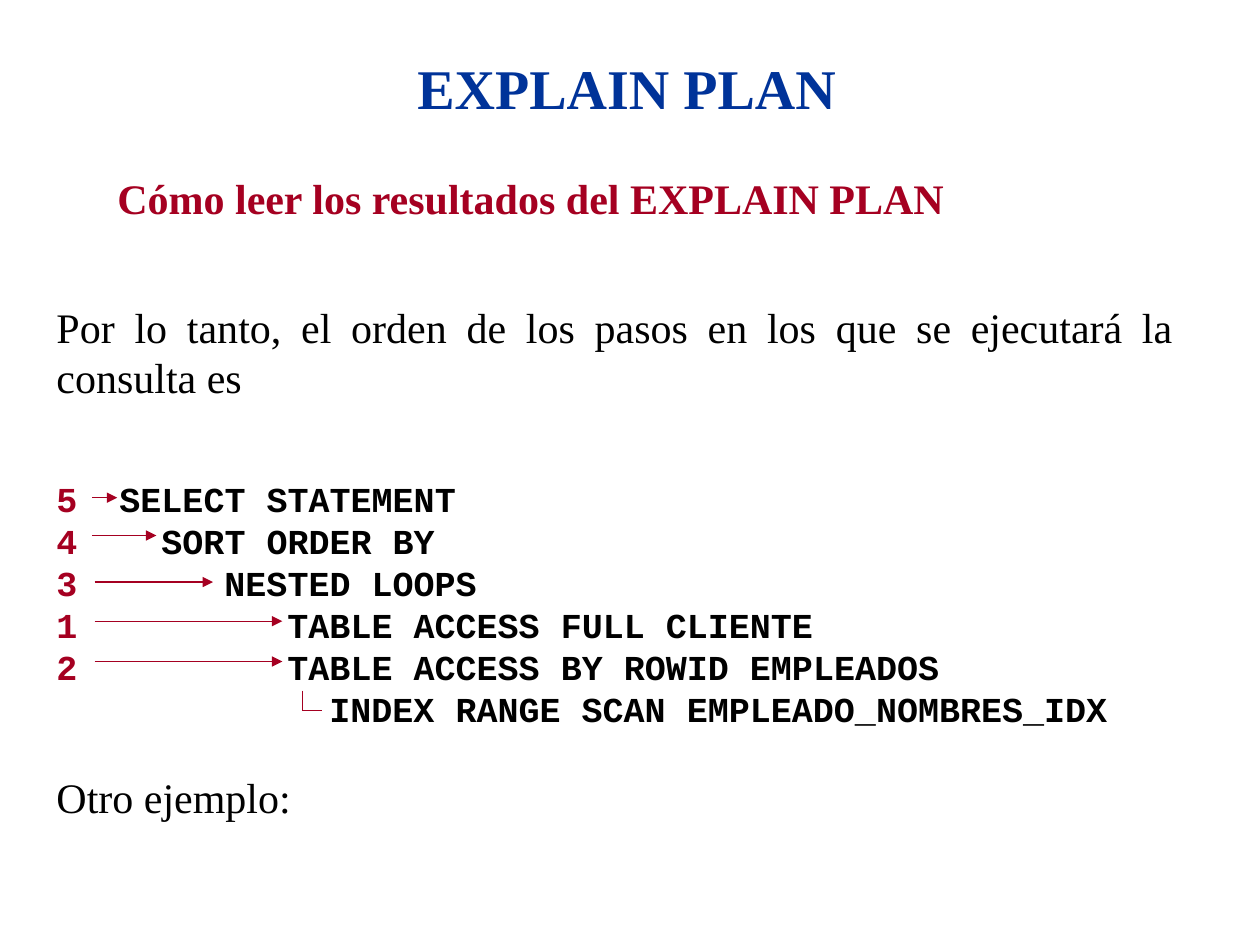
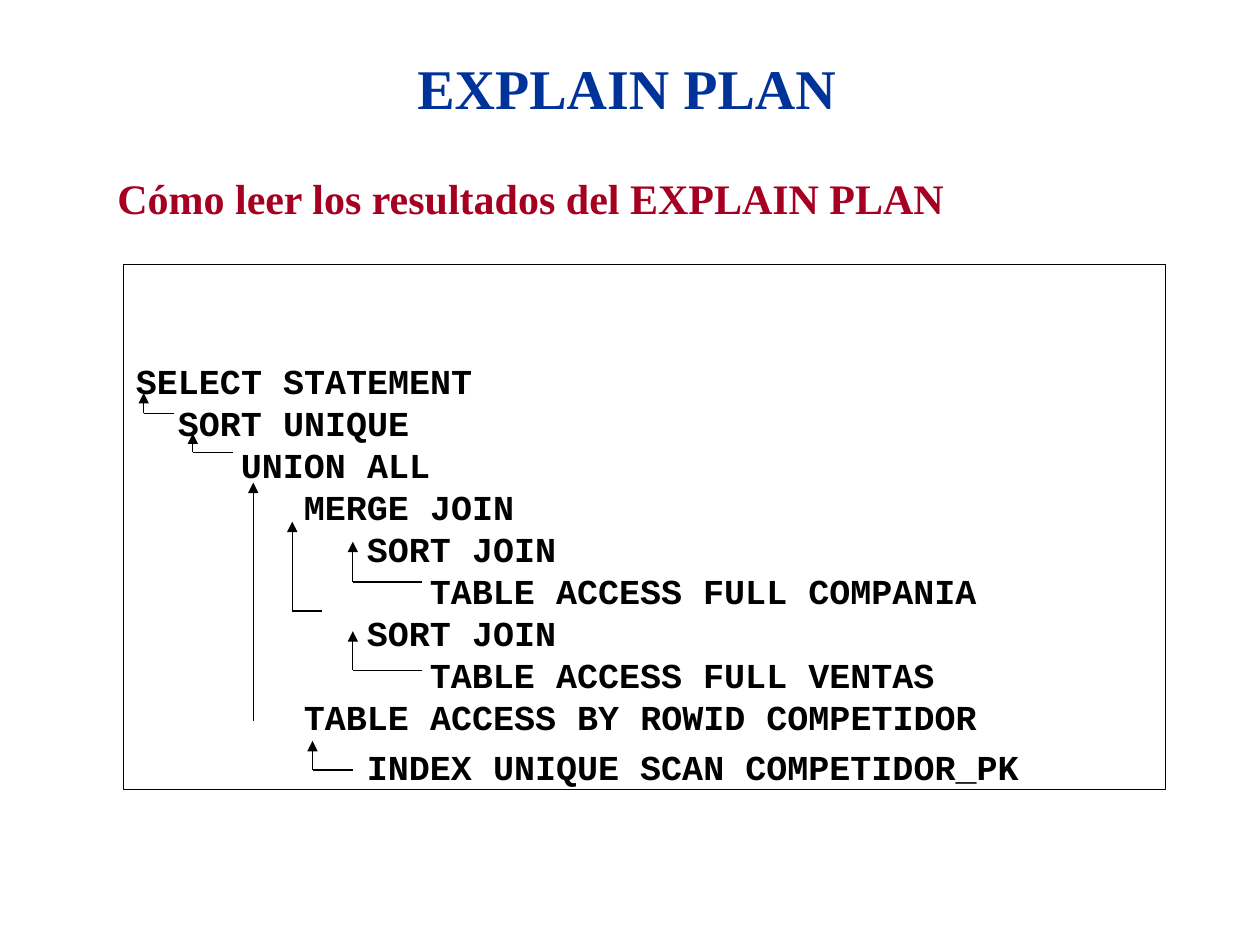
from lxml.etree import SubElement
from pptx import Presentation
from pptx.dml.color import RGBColor
from pptx.enum.shapes import MSO_CONNECTOR as CONN, MSO_SHAPE as SHAPE
from pptx.enum.text import MSO_ANCHOR as ANCHOR, MSO_AUTO_SIZE as AUTO, PP_ALIGN as ALIGN
from pptx.oxml.ns import qn
from pptx.util import Pt

# ---- content -------------------------------------------------------------
TITLE = "EXPLAIN PLAN"
SUBTITLE = "Cómo leer los resultados del EXPLAIN PLAN"
INTRO = "Por lo tanto, el orden de los pasos en los que se ejecutará la consulta es"
CLOSING = "Otro ejemplo:"

# step number, indent in characters, operation
STEPS = [
    ("5", 3, "SELECT STATEMENT"),
    ("4", 5, "SORT ORDER BY"),
    ("3", 8, "NESTED LOOPS"),
    ("1", 11, "TABLE ACCESS FULL CLIENTE"),
    ("2", 11, "TABLE ACCESS BY ROWID EMPLEADOS"),
    ("", 13, "INDEX RANGE SCAN EMPLEADO_NOMBRES_IDX"),
]
# indent in characters, operation
TREE = [
    (0, "SELECT STATEMENT"),
    (2, "SORT UNIQUE"),
    (5, "UNION ALL"),
    (8, "MERGE JOIN"),
    (11, "SORT JOIN"),
    (14, "TABLE ACCESS FULL COMPANIA"),
    (11, "SORT JOIN"),
    (14, "TABLE ACCESS FULL VENTAS"),
    (8, "TABLE ACCESS BY ROWID COMPETIDOR"),
    (11, "INDEX UNIQUE SCAN COMPETIDOR_PK"),
]
# start x, end x, y of the arrow from each step number
STEP_ARROWS = [
    (52.6, 67, 284.4),
    (52.6, 89.3, 306),
    (54, 121.7, 332.6),
    (54, 161.3, 355),
    (54, 161.3, 378),
]
INDEX_CORNER = [(172.8, 394.6), (172.8, 406.1), (184.3, 406.1)]
# child x, child y, parent x, parent y
TREE_ELBOWS = [
    (99.4, 236.2, 82.1, 224.6),
    (133.2, 258.5, 110.2, 247.7),
    (144.7, 411.8, 144.7, 275.8),
    (184.3, 349.2, 167, 298.1),
    (241.2, 332.6, 201.6, 309.6),
    (241.2, 383, 201.6, 360.7),
    (201.6, 440, 178.6, 423.4),
]

# ---- style ---------------------------------------------------------------
COLORS = {"title": "003399", "accent": "A50021", "text": "000000"}
SERIF, MONO = "Times New Roman", "Courier New"
CODE_SIZE, BODY_SIZE, TITLE_SIZE = 20, 24, 32
CHAR = 0.6 * CODE_SIZE      # width of one monospaced character
LEADING = 1.2               # line height as a multiple of the text size


def place(s, left, top, width, height):
    """Move and size a shape."""
    s.left, s.top, s.width, s.height = map(Pt, (left, top, width, height))


def setup_frame(s, wrap=True):
    """Give a shape a top-anchored text frame of fixed size."""
    tf = s.text_frame
    tf.word_wrap, tf.auto_size = wrap, AUTO.NONE
    tf.vertical_anchor = ANCHOR.TOP
    return tf


def format_par(p, size, align=ALIGN.JUSTIFY, before=0, indent=0, hanging=0):
    """Set alignment, spacing and indents, without a bullet."""
    p.alignment = align
    p.line_spacing, p.space_before, p.space_after = Pt(size * LEADING), Pt(before), Pt(0)
    pPr = p._p.get_or_add_pPr()
    pPr.set("marL", str(Pt(indent)))
    pPr.set("indent", str(Pt(-hanging)))
    SubElement(pPr, qn("a:buNone"))


def add_run(p, text, size, color="text", font=SERIF, bold=False):
    """Append one formatted run."""
    r = p.add_run()
    r.text = text
    r.font.size, r.font.name, r.font.bold = Pt(size), font, bold
    r.font.color.rgb = RGBColor.from_string(COLORS[color])


def next_par(tf):
    """Return the empty first paragraph, or a new one."""
    first = tf.paragraphs[0]
    return tf.add_paragraph() if first.runs else first


def add_line(slide, start, end, color, arrow=False):
    """Draw a thin straight line, with an arrowhead at its end if asked."""
    c = slide.shapes.add_connector(CONN.STRAIGHT, *map(Pt, (*start, *end)))
    c.line.width = Pt(0.75)
    c.line.color.rgb = RGBColor.from_string(COLORS[color])
    if arrow:
        SubElement(c.line._get_or_add_ln(), qn("a:tailEnd"), type="triangle")
    SubElement(c._element.spPr, qn("a:effectLst"))


def add_path(slide, points, color, arrow=False):
    """Join points with lines; only the last line can have an arrowhead."""
    pairs = [(a, b) for a, b in zip(points, points[1:]) if a != b]
    for i, (a, b) in enumerate(pairs, 1):
        add_line(slide, a, b, color, arrow and i == len(pairs))


def new_slide(prs):
    """Add a slide with the shared title and subtitle."""
    slide = prs.slides.add_slide(prs.slide_layouts[1])
    title, body = slide.shapes.title, slide.placeholders[1]
    place(title, 76.3, 27, 563.8, 45.4)
    place(body, 59.8, 95, 567.4, 36)
    p = setup_frame(title).paragraphs[0]
    format_par(p, TITLE_SIZE, ALIGN.CENTER)
    add_run(p, TITLE, TITLE_SIZE, "title", bold=True)
    p = setup_frame(body).paragraphs[0]
    format_par(p, BODY_SIZE)
    add_run(p, SUBTITLE, BODY_SIZE, "accent", bold=True)
    return slide


def build_order_slide(prs):
    """Show the steps of the query with their execution order."""
    slide = new_slide(prs)
    tf = setup_frame(slide.shapes.add_textbox(Pt(25.2), Pt(168.5), Pt(652.3), Pt(307.4)))
    p = next_par(tf)
    format_par(p, BODY_SIZE)
    add_run(p, INTRO, BODY_SIZE)
    for i, (number, chars, operation) in enumerate(STEPS):
        p = next_par(tf)
        indent = chars * CHAR
        format_par(p, CODE_SIZE, before=0 if i else 43, indent=indent,
                   hanging=indent if number else 0)
        if number:
            add_run(p, number + "\t", CODE_SIZE, "accent", MONO, True)
        add_run(p, operation, CODE_SIZE, font=MONO, bold=True)
    p = next_par(tf)
    format_par(p, BODY_SIZE, before=24)
    add_run(p, CLOSING, BODY_SIZE)
    for x1, x2, y in STEP_ARROWS:
        add_line(slide, (x1, y), (x2, y), "accent", arrow=True)
    add_path(slide, INDEX_CORNER, "accent")


def build_tree_slide(prs):
    """Show a framed plan whose arrows lead from child to parent."""
    slide = new_slide(prs)
    s = slide.shapes.add_shape(SHAPE.RECTANGLE, *map(Pt, (70.6, 151.2, 595.4, 300.2)))
    s.shadow.inherit = False
    s.fill.background()
    s.line.width = Pt(0.75)
    s.line.color.rgb = RGBColor.from_string(COLORS["text"])
    tf = setup_frame(s)
    tf.margin_top = Pt(54)
    for i, (chars, operation) in enumerate(TREE, 1):
        p = next_par(tf)
        format_par(p, CODE_SIZE, before=4.5 if i == len(TREE) else 0, indent=chars * CHAR)
        add_run(p, operation, CODE_SIZE, font=MONO, bold=True)
    for x, y, parent_x, parent_y in TREE_ELBOWS:
        add_path(slide, [(x, y), (parent_x, y), (parent_x, parent_y)], "text", arrow=True)


prs = Presentation()
prs.slide_width, prs.slide_height = Pt(720), Pt(540)
build_order_slide(prs)
build_tree_slide(prs)
prs.save("out.pptx")
